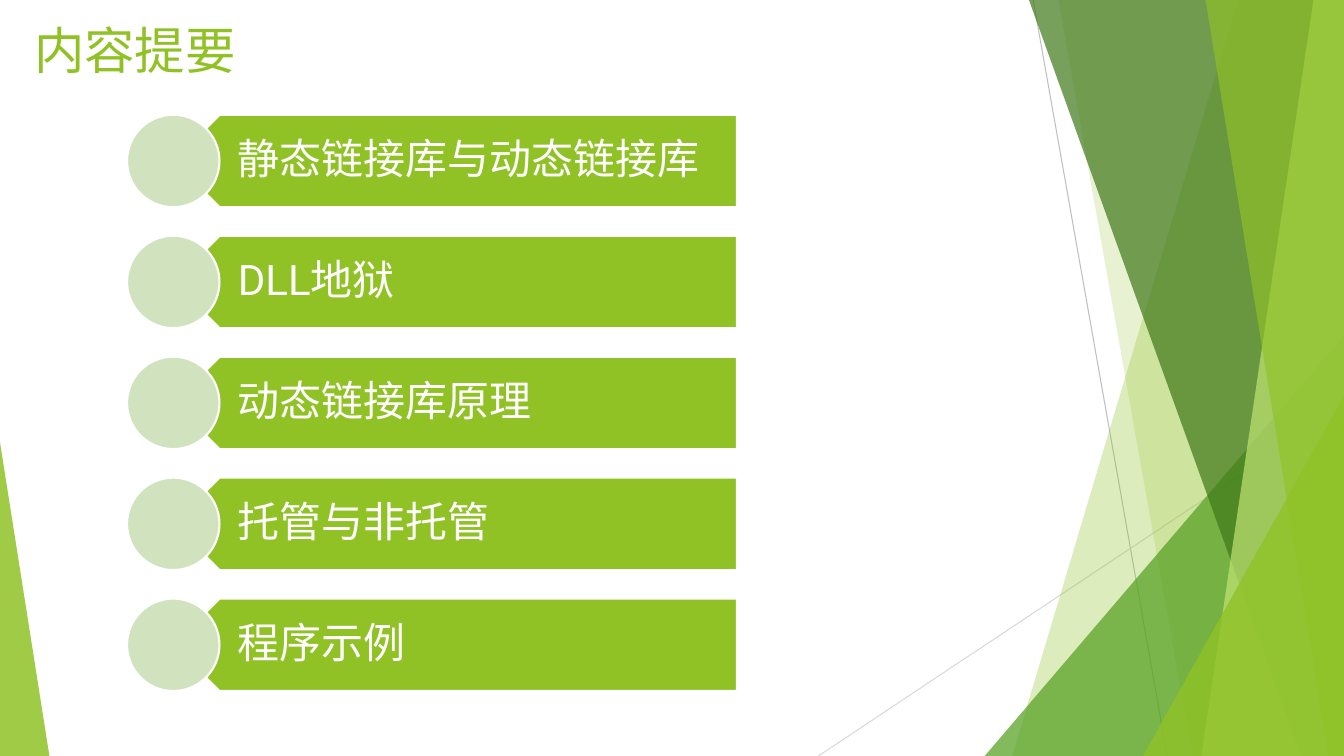
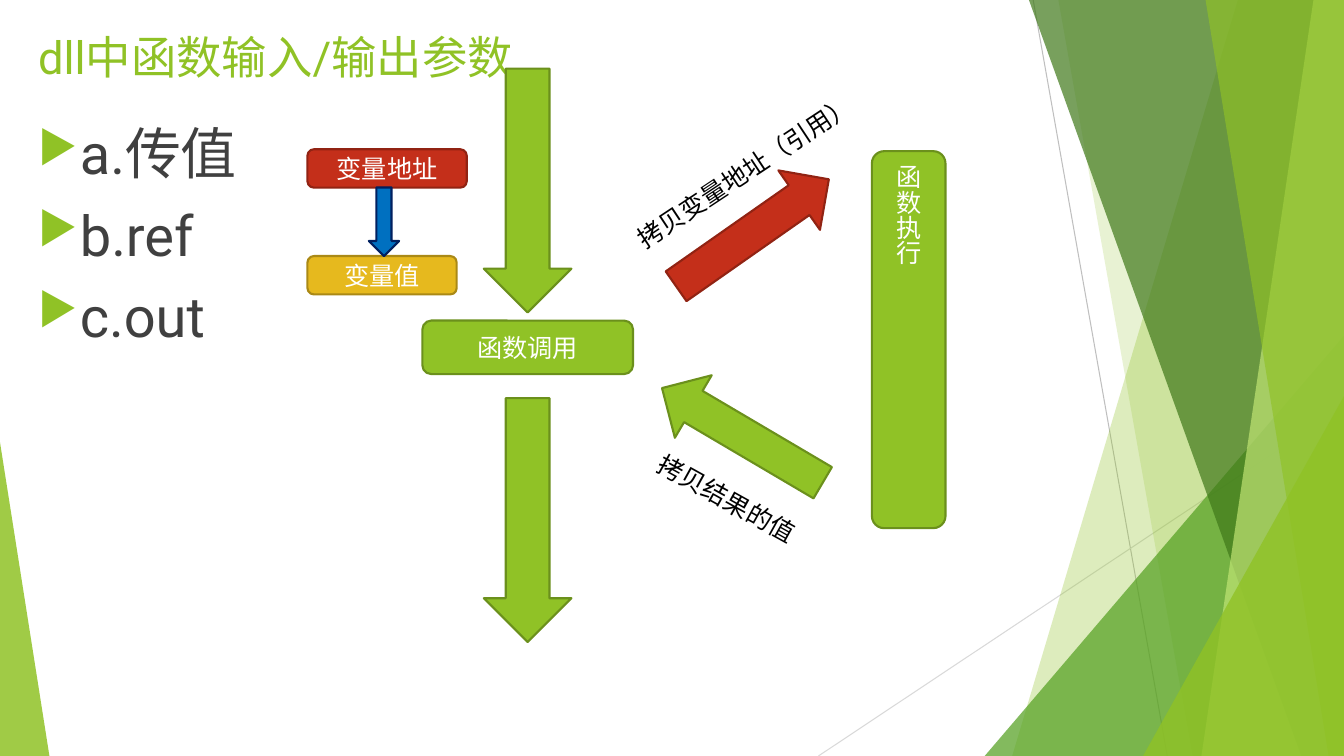
from lxml import etree
from pptx import Presentation
from pptx.dml.color import RGBColor
from pptx.enum.shapes import MSO_CONNECTOR, MSO_SHAPE
from pptx.enum.text import MSO_ANCHOR, MSO_AUTO_SIZE, PP_ALIGN
from pptx.oxml.ns import qn
from pptx.util import Pt

STRAIGHT = MSO_CONNECTOR.STRAIGHT
TRIANGLE = MSO_SHAPE.ISOSCELES_TRIANGLE
PENTAGON = MSO_SHAPE.PENTAGON
OVAL = MSO_SHAPE.OVAL
ROUNDED = MSO_SHAPE.ROUNDED_RECTANGLE
DOWN_ARROW = MSO_SHAPE.DOWN_ARROW
RIGHT_ARROW = MSO_SHAPE.RIGHT_ARROW
MIDDLE = MSO_ANCHOR.MIDDLE
TOP = MSO_ANCHOR.TOP
CENTER = PP_ALIGN.CENTER
LEFT = PP_ALIGN.LEFT
FIT_SHAPE = MSO_AUTO_SIZE.SHAPE_TO_FIT_TEXT

WIDTH, HEIGHT = 960, 540
MAIN_FONT = "Roboto"
LABEL_FONT = "Noto Sans CJK SC"
COLORS = {
    "green": "90C226",
    "green edge": "6B901C",
    "leaf": "54A021",
    "forest": "3F7819",
    "lime": "C0E474",
    "pale": "D1E3BE",
    "red": "C42F1A",
    "red edge": "912313",
    "gold": "E6B91E",
    "gold edge": "AA8916",
    "blue": "0070C0",
    "blue edge": "002060",
    "white": "FFFFFF",
    "black": "000000",
    "body": "404040",
    "gray": "BFBFBF",
    "light gray": "D9D9D9",
}


def color(name):
    return RGBColor.from_string(COLORS[name])


def points(values):
    return [Pt(value) for value in values]


# Basic elements
def paint(shape, fill, edge=None, opacity=100):
    shape.shadow.inherit = False
    shape.fill.solid()
    shape.fill.fore_color.rgb = color(fill)
    if opacity < 100:
        tint = shape.element.spPr.find(qn("a:solidFill"))[0]
        etree.SubElement(tint, qn("a:alpha"), val=str(opacity * 1000))
    if edge:
        shape.line.color.rgb = color(edge)
        shape.line.width = Pt(1.5)
    else:
        shape.line.fill.background()


def write(shape, lines, size, ink, font=MAIN_FONT, align=LEFT, anchor=TOP,
          before=None, spacing=None):
    frame = shape.text_frame
    frame.word_wrap = True
    frame.vertical_anchor = anchor
    frame.text = "\n".join(lines)
    for para in frame.paragraphs:
        para.alignment = align
        para.line_spacing = spacing
        if before is not None:
            para.space_before = Pt(before)
        para.font.size = Pt(size)
        para.font.color.rgb = color(ink)
        para.font.name = font
    # East Asian glyphs follow the same font
    for latin in list(shape.element.iter(qn("a:latin"))):
        latin.addnext(etree.Element(qn("a:ea"), typeface=font))


def add_block(slide, kind, place, style, text=None, rotation=0):
    block = slide.shapes.add_shape(kind, *points(place))
    block.rotation = rotation
    paint(block, style, style + " edge")
    if text:
        write(block, [text], 18, "white", LABEL_FONT, CENTER, MIDDLE)
    return block


def add_text(slide, place, lines, size, ink, **options):
    box = slide.shapes.add_textbox(*points(place))
    write(box, lines, size, ink, **options)
    return box


def add_slanted_label(slide, place, text, rotation):
    label = add_text(slide, place, [text], 18, "black", font=LABEL_FONT)
    label.text_frame.auto_size = FIT_SHAPE
    label.rotation = rotation
    return label


def add_title(slide, place, text, size):
    add_text(slide, place, [text], size, "green")


def add_bullets(box, indent):
    for props in box.element.iter(qn("a:pPr")):
        props.set("marL", str(Pt(indent)))
        props.set("indent", str(-Pt(indent)))
        bullet_color = etree.Element(qn("a:buClr"))
        etree.SubElement(bullet_color, qn("a:srgbClr"), val=COLORS["green"])
        run_props = props.find(qn("a:defRPr"))
        for mark in (bullet_color,
                     etree.Element(qn("a:buSzPct"), val="80000"),
                     etree.Element(qn("a:buChar"), char="▶")):
            run_props.addprevious(mark)


# Shared backdrop
def add_hairline(slide, ends, ink):
    line = slide.shapes.add_connector(STRAIGHT, *points(ends))
    line.line.color.rgb = color(ink)
    line.line.width = Pt(0.75)
    etree.SubElement(line.element.spPr, qn("a:effectLst"))


def add_band(slide, top_left, bottom_left, fill, opacity):
    corners = [(WIDTH, 0), (WIDTH, HEIGHT), (bottom_left, HEIGHT)]
    outline = slide.shapes.build_freeform(Pt(top_left), Pt(0))
    outline.add_line_segments([points(corner) for corner in corners])
    paint(outline.convert_to_shape(), fill, opacity=opacity)


def add_corner(slide, left, top, width, apex, fill, opacity):
    place = (left, top, width, HEIGHT - top)
    corner = slide.shapes.add_shape(TRIANGLE, *points(place))
    corner.adjustments[0] = apex
    paint(corner, fill, opacity=opacity)


def draw_backdrop(slide):
    add_hairline(slide, (738, 0, 833.8, HEIGHT), "gray")
    add_hairline(slide, (WIDTH, 290.2, 584.6, HEIGHT), "light gray")
    add_band(slide, 884.2, 723, "green", 30)
    add_band(slide, 756, 851.8, "green", 20)
    add_corner(slide, 703.4, 239.8, 256.6, 1, "leaf", 72)
    add_band(slide, 735, 929.5, "forest", 70)
    add_band(slide, 938.2, 858.2, "lime", 70)
    add_band(slide, 861.1, 949, "green", 65)
    add_corner(slide, 816.5, 283, 143.5, 1, "green", 80)
    add_corner(slide, 0, 316, 35.3, 0, "green", 85)


def put_backdrop_on_layout(slide, layout):
    """Draw the backdrop, then move it to the layout both slides use."""
    for holder in list(layout.placeholders):
        layout.shapes.element.remove(holder.element)
    draw_backdrop(slide)
    for shape in list(slide.shapes):
        layout.shapes.element.append(shape.element)


# Slides
def fill_agenda(slide):
    topics = ["静态链接库与动态链接库", "DLL地狱", "动态链接库原理",
              "托管与非托管", "程序示例"]
    first_top, step, height = 82, 86.4, 66
    for index, topic in enumerate(topics):
        top = first_top + index * step
        bar = slide.shapes.add_shape(
            PENTAGON, *points((123.8, top, 402.5, height)))
        bar.rotation = 180
        paint(bar, "green", "white")
        label = add_text(slide, (140.4, top, 385.2, height), [topic], 30,
                         "white", anchor=MIDDLE, spacing=0.9)
        frame = label.text_frame
        frame.margin_left, frame.margin_right = Pt(29.5), Pt(16.6)
        frame.margin_top = frame.margin_bottom = Pt(8.6)
        disc = slide.shapes.add_shape(
            OVAL, *points((90.8, top, height, height)))
        paint(disc, "pale", "white")
    add_title(slide, (17.3, 10, 309.6, 56), "内容提要", 36)


def fill_parameters(slide):
    add_title(slide, (20.2, 17.3, 371.5, 64), "dll中函数输入/输出参数", 32.4)
    body = add_text(slide, (20.2, 81.4, 170, 185.8),
                    ["a.传值", "b.ref", "c.out"], 40, "body", before=10)
    add_bullets(body, 27)

    # Call flow
    runner = add_block(slide, ROUNDED, (622.8, 108, 52.6, 269.3), "green",
                       "函数执行")
    for frame_props in runner.element.iter(qn("a:bodyPr")):
        frame_props.set("vert", "eaVert")
    for top in (49, 284.4):
        add_block(slide, DOWN_ARROW, (345.6, top, 62.6, 174.2), "green")
    add_block(slide, ROUNDED, (301.7, 229, 150.5, 38.2), "green", "函数调用")
    add_block(slide, RIGHT_ARROW, (470.9, 140.4, 133.2, 51.8), "red",
              rotation=325)
    add_block(slide, RIGHT_ARROW, (463.7, 285.1, 133.2, 51.8), "green",
              rotation=210.5)
    add_slanted_label(slide, (434.9, 107.3, 197.3, 29), "拷贝变量地址（引用）",
                      326.5)
    result = add_slanted_label(slide, (457.9, 342, 123.8, 29), "拷贝结果的值",
                               29)
    result.text_frame.word_wrap = False

    # Address pointing to value
    add_block(slide, ROUNDED, (219.6, 106.6, 113.8, 27.4), "red", "变量地址")
    add_block(slide, ROUNDED, (219.6, 182.9, 106.6, 27.4), "gold", "变量值")
    add_block(slide, DOWN_ARROW, (263.5, 133.9, 21.6, 49), "blue")


def main():
    deck = Presentation()
    deck.slide_width, deck.slide_height = Pt(WIDTH), Pt(HEIGHT)
    blank = deck.slide_layouts[6]
    agenda = deck.slides.add_slide(blank)
    put_backdrop_on_layout(agenda, blank)
    fill_agenda(agenda)
    fill_parameters(deck.slides.add_slide(blank))
    deck.save("out.pptx")


if __name__ == "__main__":
    main()
